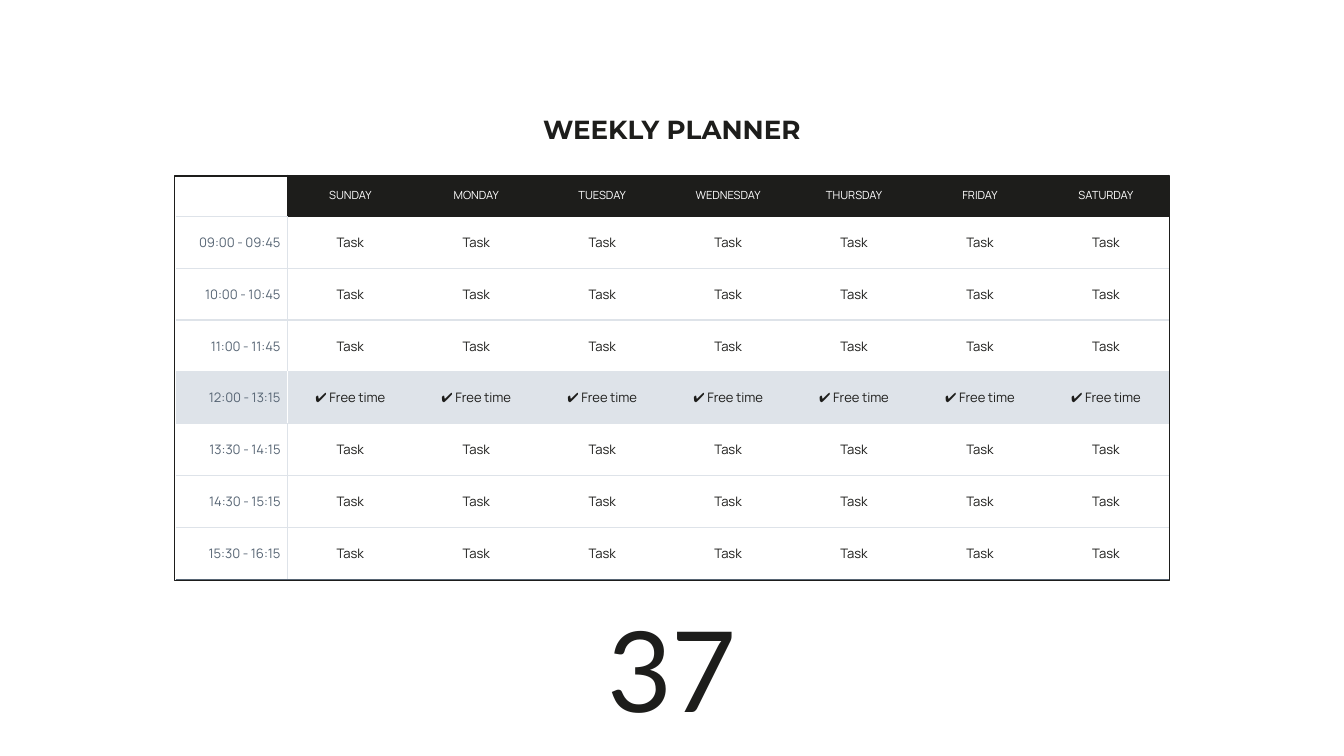
"""Build a weekly planner slide with a timetable of seven days."""
import pptx
import pptx.dml.color
import pptx.enum.shapes
import pptx.enum.text
import pptx.oxml.ns
import pptx.util
from lxml import etree

Cm = pptx.util.Cm
Pt = pptx.util.Pt
qn = pptx.oxml.ns.qn
ALIGN = pptx.enum.text.PP_ALIGN
ANCHOR = pptx.enum.text.MSO_ANCHOR
INK, SLATE, MIST, WHITE = "1D1D1B", "576574", "DEE3E9", "FFFFFF"


def paint(target, value):
    target.rgb = pptx.dml.color.RGBColor.from_string(value)


def write(frame, text, font, size, colour, align, bold=False):
    frame.text = text
    paragraph = frame.paragraphs[0]
    paragraph.alignment = align
    for run in paragraph.runs:
        run.font.name = font
        run.font.size = Pt(size)
        run.font.bold = bold
        paint(run.font.color, colour)


deck = pptx.Presentation()
deck.slide_width, deck.slide_height = Cm(25.4), Cm(14.29)
slide = deck.slides.add_slide(deck.slide_layouts[6])

outline = slide.shapes.add_shape(
    pptx.enum.shapes.MSO_SHAPE.RECTANGLE, Cm(3.3), Cm(3.33), Cm(18.8), Cm(7.65))
outline.shadow.inherit = False
outline.fill.background()
paint(outline.line.color, INK)
outline.line.width = Pt(0.75)

for text, top, height, font, size, bold, anchor in [
    ("37", 10.97, 3.32, "Lato", 60, False, ANCHOR.MIDDLE),
    ("WEEKLY PLANNER", 0.58, 2.4, "Montserrat", 14, True, ANCHOR.BOTTOM),
]:
    frame = slide.shapes.add_textbox(Cm(3.3), Cm(top), Cm(18.8), Cm(height)).text_frame
    frame.word_wrap = True
    frame.vertical_anchor = anchor
    frame.margin_left = frame.margin_right = Cm(0.25)
    frame.margin_top = frame.margin_bottom = Cm(0.25)
    write(frame, text, font, size, INK, ALIGN.CENTER, bold)

days = ["SUNDAY", "MONDAY", "TUESDAY", "WEDNESDAY", "THURSDAY", "FRIDAY", "SATURDAY"]
hours = ["09:00 - 09:45", "10:00 - 10:45", "11:00 - 11:45", "12:00 - 13:15",
         "13:30 - 14:15", "14:30 - 15:15", "15:30 - 16:15"]
break_row = 4
entries = [["", *days]]
for row, hour in enumerate(hours, 1):
    entries.append([hour] + ["✔ Free time" if row == break_row else "Task"] * len(days))

planner = slide.shapes.add_table(
    len(entries), len(entries[0]), Cm(3.33), Cm(3.31), Cm(18.76), Cm(7.64)).table
planner.first_row = planner.horz_banding = False
for index, column in enumerate(planner.columns):
    column.width = Cm(2.38 if index else 2.1)
for index, line in enumerate(planner.rows):
    line.height = Cm(0.98 if index else 0.78)

row_edges = [INK, INK] + [MIST] * (len(hours) - 1) + [SLATE]
divider = [INK] + [WHITE if row == break_row else MIST for row in range(1, len(entries))]

for row, values in enumerate(entries):
    for col, text in enumerate(values):
        cell = planner.cell(row, col)
        cell.vertical_anchor = ANCHOR.MIDDLE
        cell.margin_left = cell.margin_right = Cm(0.13)
        cell.margin_top = cell.margin_bottom = Cm(0.13)
        colour = WHITE if row == 0 else INK if col else SLATE
        align = ALIGN.CENTER if col else ALIGN.RIGHT
        write(cell.text_frame, text, "Manrope", 7 if row else 6, colour, align)
        if not text:
            etree.SubElement(cell.text_frame.paragraphs[0]._p, qn("a:endParaRPr"), sz="600")

        top, bottom = row_edges[row], row_edges[row + 1]
        if col == 0 and row < 2:
            top, bottom = (None, MIST) if row == 0 else (MIST, MIST)
        left = divider[row] if col == 1 else None
        right = divider[row] if col == 0 else None
        if row == 0 and col == len(days):
            right = INK
        for side, edge in zip("LRTB", (left, right, top, bottom)):
            border = etree.SubElement(cell._tc.get_or_add_tcPr(), qn(f"a:ln{side}"), w="9525")
            if edge:
                solid = etree.SubElement(border, qn("a:solidFill"))
                etree.SubElement(solid, qn("a:srgbClr"), val=edge)
            else:
                etree.SubElement(border, qn("a:noFill"))

        if row == break_row or (row == 0 and col):
            cell.fill.solid()
            paint(cell.fill.fore_color, MIST if row else INK)
        else:
            cell.fill.background()

deck.save("out.pptx")
